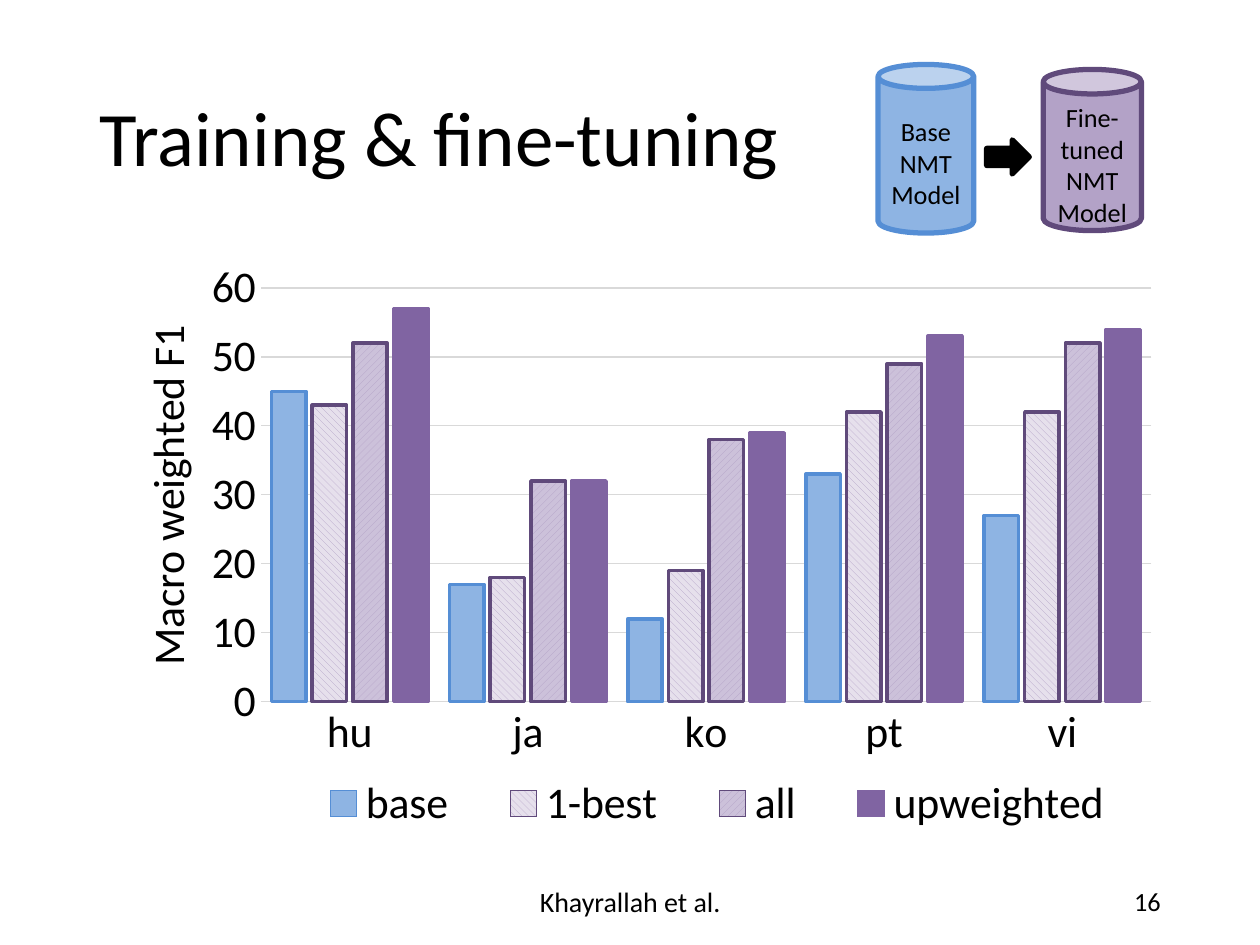
from pptx import Presentation
from pptx.chart.data import CategoryChartData
from pptx.dml.color import RGBColor
from pptx.enum.chart import XL_CHART_TYPE, XL_LEGEND_POSITION, XL_TICK_MARK
from pptx.enum.dml import MSO_PATTERN
from pptx.enum.shapes import MSO_SHAPE
from pptx.enum.text import MSO_ANCHOR, PP_ALIGN
from pptx.oxml import parse_xml
from pptx.oxml.ns import nsdecls, qn
from pptx.util import Cm, Pt

BARS = XL_CHART_TYPE.COLUMN_CLUSTERED
BOTTOM = XL_LEGEND_POSITION.BOTTOM
NO_TICK = XL_TICK_MARK.NONE
DOWN = MSO_PATTERN.WIDE_DOWNWARD_DIAGONAL
UP = MSO_PATTERN.WIDE_UPWARD_DIAGONAL
CAN, ARROW = MSO_SHAPE.CAN, MSO_SHAPE.RIGHT_ARROW
MIDDLE = MSO_ANCHOR.MIDDLE
LEFT, CENTER, RIGHT = PP_ALIGN.LEFT, PP_ALIGN.CENTER, PP_ALIGN.RIGHT

COLORS = {
    "black": "000000", "grid": "D9D9D9",
    "blue": "8EB4E3", "navy": "558ED5",
    "pale": "E6E0EC", "light": "CCC1DA", "mauve": "B3A2C7",
    "purple": "8064A2", "plum": "604A7B",
}
LANGS = ["hu", "ja", "ko", "pt", "vi"]
# name, values, fill, line, pattern
SERIES = [
    ("base", [45, 17, 12, 33, 27], "blue", "navy", None),
    ("1-best", [43, 18, 19, 42, 42], "pale", "plum", DOWN),
    ("all", [52, 32, 38, 49, 52], "light", "plum", UP),
    ("upweighted", [57, 32, 39, 53, 54], "purple", "purple", None),
]


def color(name):
    return RGBColor.from_string(COLORS[name])


def apply(obj, **values):
    for key, value in values.items():
        setattr(obj, key, value)


def place(node, index, **sizes):
    """Give a chart part a manual layout in fractions of the chart."""
    for old in node.findall(qn("c:layout")):
        node.remove(old)
    inner = '<c:layoutTarget val="inner"/>' if node.tag == qn("c:plotArea") else ""
    modes = '<c:xMode val="edge"/><c:yMode val="edge"/>'
    parts = "".join(f'<c:{key} val="{val}"/>' for key, val in sizes.items())
    node.insert(index, parse_xml(
        f'<c:layout {nsdecls("c")}><c:manualLayout>{inner}{modes}{parts}'
        '</c:manualLayout></c:layout>'))


class Deck:
    face = "Calibri"

    def __init__(self):
        self.prs = Presentation()
        apply(self.prs, slide_width=Cm(25.4), slide_height=Cm(19.05))
        self.slide = self.prs.slides.add_slide(self.prs.slide_layouts[5])

    def style(self, font, size):
        apply(font, name=self.face, size=Pt(size), bold=False)
        font.color.rgb = color("black")

    def fill_text(self, frame, lines, size, align, **form):
        apply(frame, word_wrap=True, vertical_anchor=MIDDLE, **form)
        frame.text = "\n".join(lines)
        for para in frame.paragraphs:
            para.alignment = align
            self.style(para.font, size)

    def title(self, text, box):
        shape = self.slide.shapes.title
        apply(shape, **dict(zip(("left", "top", "width", "height"), map(Cm, box))))
        self.fill_text(shape.text_frame, [text], 44, LEFT)
        shape.text_frame.paragraphs[0].line_spacing = 0.9

    def label(self, text, box, size, align):
        shape = self.slide.shapes.add_textbox(*map(Cm, box))
        self.fill_text(shape.text_frame, [text], size, align)

    def shape(self, kind, box, fill, line, lines=()):
        item = self.slide.shapes.add_shape(kind, *map(Cm, box))
        item.shadow.inherit = False
        item.fill.solid()
        item.fill.fore_color.rgb = color(fill)
        item.line.color.rgb = color(line)
        item.line.width = Pt(3)
        if lines:
            self.fill_text(item.text_frame, lines, 15, CENTER, margin_left=0,
                           margin_right=0, margin_top=Cm(0.33), margin_bottom=0)

    def chart(self, box):
        data = CategoryChartData()
        data.categories = LANGS
        for name, values, *_ in SERIES:
            data.add_series(name, values)
        chart = self.slide.shapes.add_chart(BARS, *map(Cm, box), data).chart
        apply(chart, has_title=False, has_legend=True)
        self.style(chart.font, 25)
        plot = chart.plots[0]
        apply(plot, gap_width=63, overlap=-18, vary_by_categories=False)
        for bar, (_, _, fill, line, pattern) in zip(plot.series, SERIES):
            self.paint(bar.format, fill, line, pattern)
        self.axes(chart)
        apply(chart.legend, position=BOTTOM, include_in_layout=False)
        self.style(chart.legend.font, 25)
        root = chart._chartSpace
        place(root.xpath(".//c:plotArea")[0], 0, x=0.16, y=0.06, w=0.82, h=0.69)
        place(root.xpath(".//c:valAx/c:title")[0], 1, x=0.04, y=0.11)
        place(root.xpath(".//c:legend")[0], 1, x=0.18, y=0.87, w=0.8, h=0.1)

    def paint(self, form, fill, line, pattern):
        if pattern:
            form.fill.patterned()
            form.fill.pattern = pattern
            form.fill.fore_color.rgb = color("mauve")
            form.fill.back_color.rgb = color(fill)
        else:
            form.fill.solid()
            form.fill.fore_color.rgb = color(fill)
        form.line.color.rgb = color(line)
        form.line.width = Pt(2)

    def axes(self, chart):
        cat, val = chart.category_axis, chart.value_axis
        for axis in (cat, val):
            apply(axis, major_tick_mark=NO_TICK, minor_tick_mark=NO_TICK)
            self.style(axis.tick_labels.font, 25)
        apply(val, minimum_scale=0, maximum_scale=60, major_unit=10,
              has_major_gridlines=True, has_title=True)
        for line in (cat.format.line, val.major_gridlines.format.line):
            line.color.rgb = color("grid")
            line.width = Pt(0.75)
        val.format.line.fill.background()
        frame = val.axis_title.text_frame
        frame.text = "Macro weighted F1"
        self.style(frame.paragraphs[0].font, 25)


def main():
    deck = Deck()
    deck.title("Training & fine-tuning", (1.75, 1.02, 21.9, 3.68))
    deck.chart((1.75, 5.08, 21.9, 12.09))
    deck.label("Khayrallah et al.", (8.41, 17.65, 8.59, 1.02), 16, CENTER)
    deck.label("16", (17.93, 17.65, 5.72, 1.02), 15, RIGHT)
    deck.shape(CAN, (21.03, 1.4, 1.98, 3.25), "mauve", "plum",
               ["Fine-", "tuned", "NMT", "Model"])
    deck.shape(CAN, (17.7, 1.3, 1.93, 3.4), "blue", "navy",
               ["Base", "NMT", "Model"])
    deck.shape(ARROW, (19.89, 2.82, 0.86, 0.69), "black", "black")
    deck.prs.save("out.pptx")


if __name__ == "__main__":
    main()
